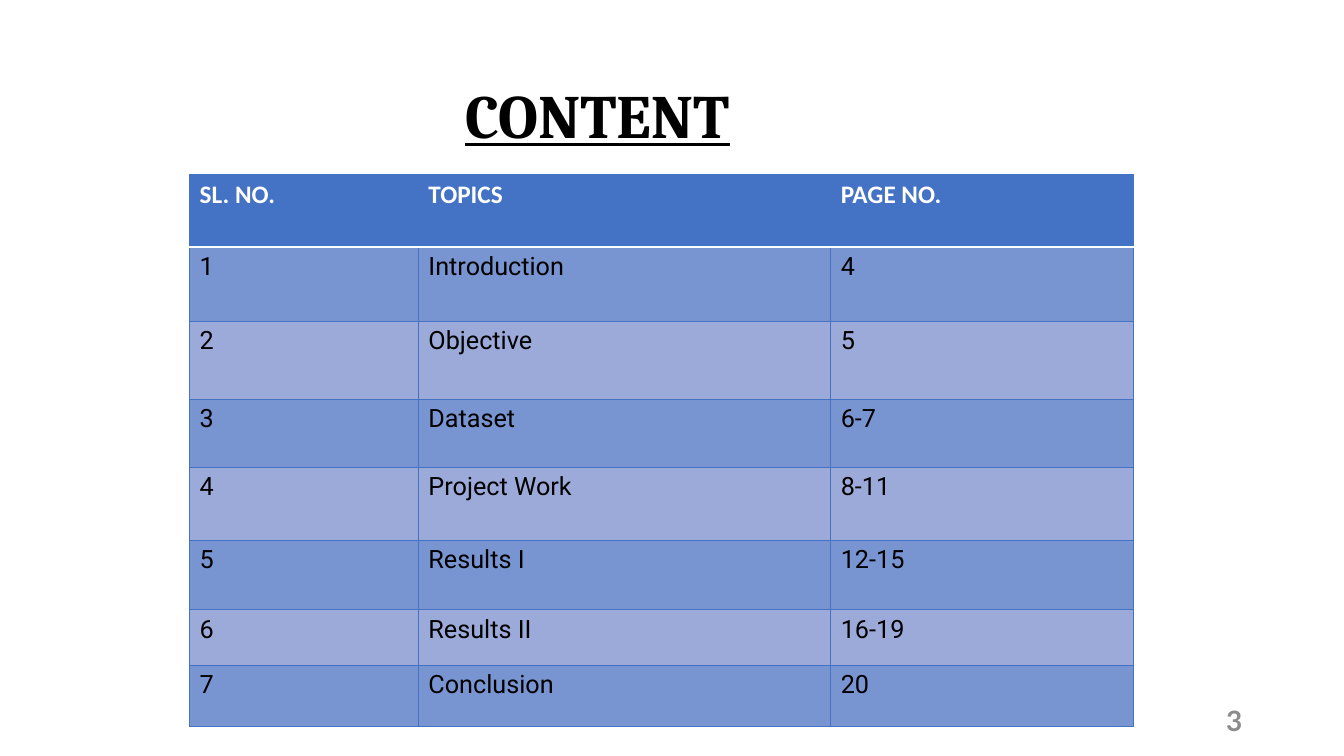
from lxml.etree import SubElement
from pptx import Presentation
from pptx.dml.color import RGBColor
from pptx.enum.text import MSO_ANCHOR as Anchor, PP_ALIGN as Align
from pptx.oxml.ns import qn
from pptx.util import Inches, Pt

BLUE, WHITE, BLACK, GREY = "4472C4", "FFFFFF", "000000", "8C8C8C"
BANDS = ("7995D1", "9CAADA")
COLUMN_WIDTHS = (2.27, 4.09, 3)
ROW_HEIGHTS = (0.72, 0.74, 0.77, 0.68, 0.72, 0.69, 0.55, 0.61)
HEADER = ("SL. NO.", "TOPICS", "PAGE NO.")
TOPICS = (
    ("Introduction", "4"),
    ("Objective", "5"),
    ("Dataset", "6-7"),
    ("Project Work", "8-11"),
    ("Results I", "12-15"),
    ("Results II", "16-19"),
    ("Conclusion", "20"),
)


def rgb(value):
    return RGBColor.from_string(value)


class ContentSlide:
    """Hold the style of the contents page and the slide being built."""

    def __init__(self, presentation):
        self.slide = presentation.slides.add_slide(presentation.slide_layouts[5])
        self.slide.background.fill.solid()
        self.slide.background.fill.fore_color.rgb = rgb(WHITE)

    def set_text(self, frame, text, font, size, color, bold=False, align=Align.LEFT):
        frame.text = text
        paragraph = frame.paragraphs[0]
        paragraph.alignment = align
        style = paragraph.runs[0].font
        style.name, style.size, style.bold = font, Pt(size), bold
        style.color.rgb = rgb(color)
        return paragraph

    def title(self, text, left, top, width, height):
        shape = self.slide.shapes.title
        shape.left, shape.top = Inches(left), Inches(top)
        shape.width, shape.height = Inches(width), Inches(height)
        paragraph = self.set_text(
            shape.text_frame, text, "Cambria", 44, BLACK, True, Align.CENTER)
        paragraph.line_spacing = 0.9
        paragraph.runs[0].font.underline = True
        shape.text_frame.vertical_anchor = Anchor.MIDDLE

    def page_number(self, text, left, top, width, height):
        shape = self.slide.shapes.add_textbox(
            Inches(left), Inches(top), Inches(width), Inches(height))
        frame = shape.text_frame
        frame.word_wrap = True
        frame.vertical_anchor = Anchor.MIDDLE
        self.set_text(frame, text, "Lato", 20, GREY, True, Align.RIGHT)

    def borders(self, cell, top, bottom):
        properties = cell._tc.get_or_add_tcPr()
        edges = {"L": BLUE, "R": BLUE, "T": top, "B": bottom}
        for side, color in edges.items():
            width = Pt(1 if color == WHITE else 0.5)
            line = SubElement(properties, qn(f"a:ln{side}"), w=str(width))
            fill = SubElement(line, qn("a:solidFill"))
            SubElement(fill, qn("a:srgbClr"), val=color)

    def table(self, rows, left, top):
        frame = self.slide.shapes.add_table(
            len(rows), len(COLUMN_WIDTHS), Inches(left), Inches(top),
            Inches(sum(COLUMN_WIDTHS)), Inches(sum(ROW_HEIGHTS)))
        table = frame.table
        table.first_row = table.horz_banding = False
        for column, width in zip(table.columns, COLUMN_WIDTHS):
            column.width = Inches(width)
        for index, (row, height) in enumerate(zip(table.rows, ROW_HEIGHTS)):
            row.height = Inches(height)
            header = index == 0
            for cell, text in zip(row.cells, rows[index]):
                self.borders(cell, WHITE if index == 1 else BLUE, WHITE if header else BLUE)
                cell.fill.solid()
                cell.fill.fore_color.rgb = rgb(BLUE if header else BANDS[(index - 1) % 2])
                self.set_text(cell.text_frame, text, "Calibri" if header else "Roboto", 18,
                              WHITE if header else BLACK, header)


def main():
    presentation = Presentation()
    presentation.slide_width, presentation.slide_height = Inches(13.33), Inches(7.5)
    page = ContentSlide(presentation)
    page.title("CONTENT", 0.26, 0.3, 11.33, 1.75)
    page.page_number("3", 9.42, 6.95, 3, 0.4)
    numbered = [(str(number), *topic) for number, topic in enumerate(TOPICS, 1)]
    page.table([HEADER, *numbered], 1.88, 1.73)
    presentation.save("out.pptx")


if __name__ == "__main__":
    main()
